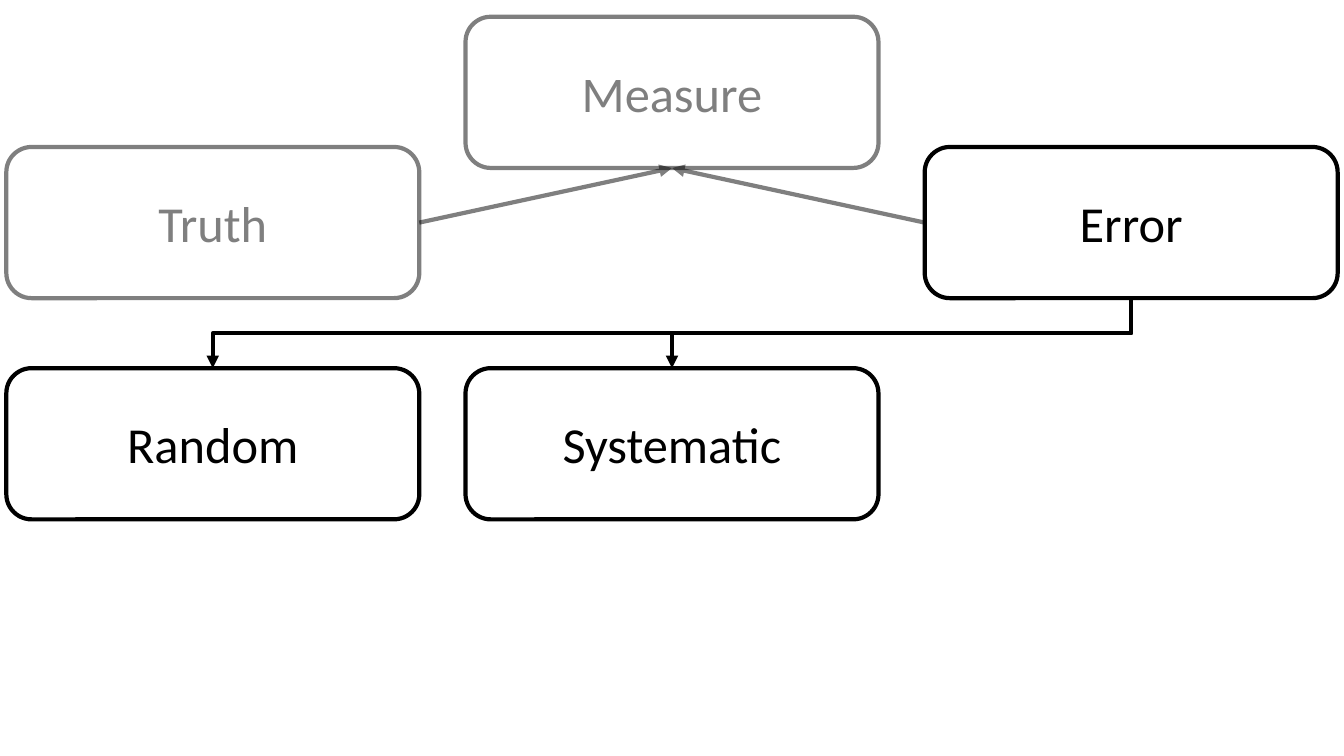
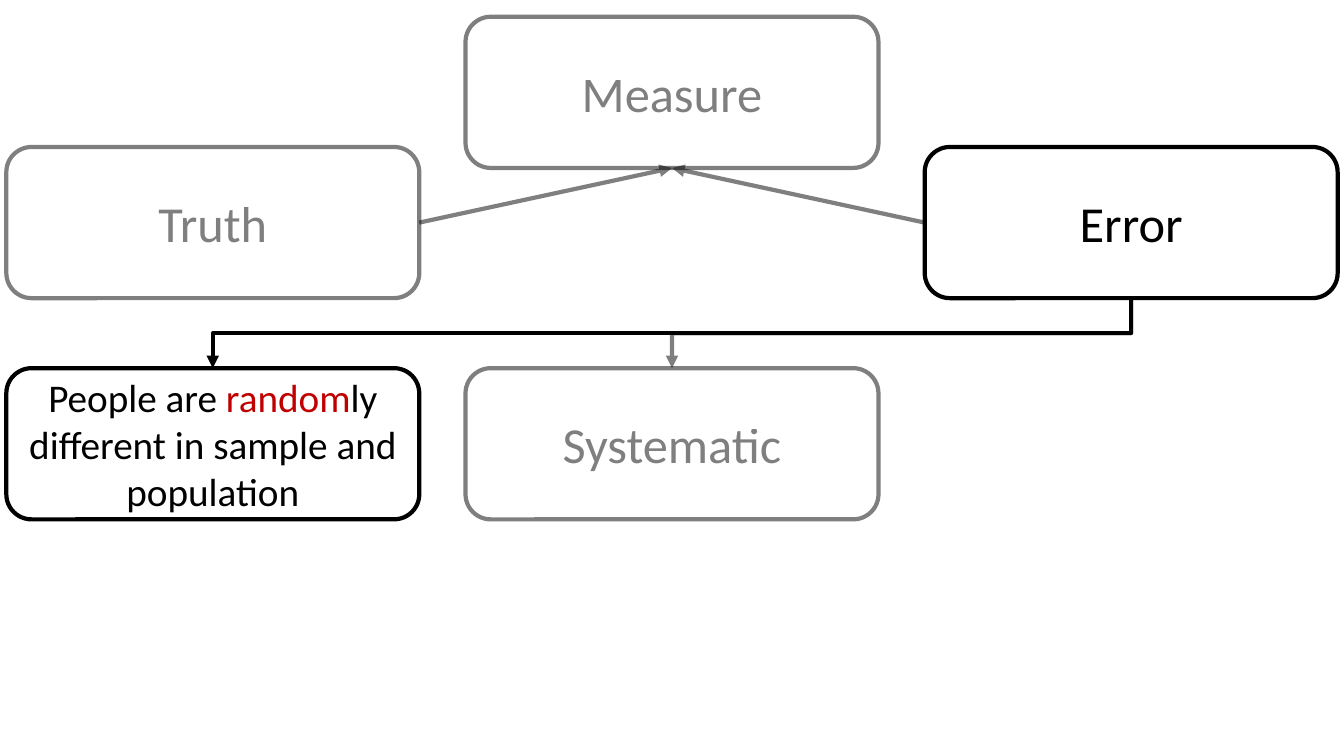
"""Build two slides of a diagram that splits a measure into truth and error."""
import dataclasses

import lxml.etree
import pptx
import pptx.dml.color
import pptx.enum.shapes
import pptx.enum.text
import pptx.oxml.ns
import pptx.util

Pt = pptx.util.Pt
qn = pptx.oxml.ns.qn
TOP, LEFT, BOTTOM, RIGHT = range(4)


@dataclasses.dataclass(frozen=True)
class Theme:
    ink: str = "000000"
    accent: str = "C00000"
    font: str = "Calibri"
    label_size: int = 36
    sentence_size: int = 28
    line_width: int = 3
    faded: int = 50
    solid: int = 100
    box_width: float = 295
    box_height: float = 108
    first_column: float = 4.5
    column_pitch: float = 328
    measure_row: float = 12
    parts_row: float = 105
    kinds_row: float = 263


THEME = Theme()


def paint(fill, colour, opacity):
    fill.solid()
    fill.fore_color.rgb = pptx.dml.color.RGBColor.from_string(colour)
    if opacity < THEME.solid:
        colour_element = fill._xPr.find(qn("a:solidFill"))[0]
        alpha = lxml.etree.SubElement(colour_element, qn("a:alpha"))
        alpha.set("val", str(opacity * 1000))


def draw_outline(line, opacity):
    line.width = Pt(THEME.line_width)
    paint(line.fill, THEME.ink, opacity)


def add_box(page, column, top, spans, size=THEME.label_size, opacity=THEME.solid):
    left = THEME.first_column + column * THEME.column_pitch
    box = page.shapes.add_shape(
        pptx.enum.shapes.MSO_SHAPE.ROUNDED_RECTANGLE,
        Pt(left), Pt(top), Pt(THEME.box_width), Pt(THEME.box_height))
    box.shadow.inherit = False
    box.fill.background()
    draw_outline(box.line, opacity)
    frame = box.text_frame
    frame.word_wrap = True
    frame.vertical_anchor = pptx.enum.text.MSO_ANCHOR.MIDDLE
    para = frame.paragraphs[0]
    para.alignment = pptx.enum.text.PP_ALIGN.CENTER
    for text, colour in spans:
        span = para.add_run()
        span.text = text
        span.font.name = THEME.font
        span.font.size = Pt(size)
        paint(span.font.fill, colour, opacity)
    return box


def add_arrow(page, kind, source, source_side, target, target_side, opacity):
    arrow = page.shapes.add_connector(kind, 0, 0, 0, 0)
    arrow.begin_connect(source, source_side)
    arrow.end_connect(target, target_side)
    draw_outline(arrow.line, opacity)
    properties = arrow._element.spPr
    head = lxml.etree.SubElement(properties.find(qn("a:ln")), qn("a:tailEnd"))
    head.set("type", "triangle")
    lxml.etree.SubElement(properties, qn("a:effectLst"))
    return arrow


def add_straight_arrow(page, source, side, target, opacity):
    add_arrow(page, pptx.enum.shapes.MSO_CONNECTOR.STRAIGHT,
              source, side, target, BOTTOM, opacity)


def add_branch(page, source, target, opacity):
    arrow = add_arrow(page, pptx.enum.shapes.MSO_CONNECTOR.ELBOW,
                      source, BOTTOM, target, TOP, opacity)
    span_x, drop = arrow.width, arrow.height
    shift = (span_x - drop) // 2
    arrow.left, arrow.top = arrow.left + shift, arrow.top - shift
    arrow.width, arrow.height = drop, span_x
    transform = arrow._element.spPr.find(qn("a:xfrm"))
    transform.attrib.pop("flipH", None)
    transform.set("rot", str(90 * 60000))


def add_error_page(deck, random_spans, random_size, systematic_opacity):
    page = deck.slides.add_slide(deck.slide_layouts[6])
    measure = add_box(page, 1, THEME.measure_row, [("Measure", THEME.ink)],
                      opacity=THEME.faded)
    truth = add_box(page, 0, THEME.parts_row, [("Truth", THEME.ink)],
                    opacity=THEME.faded)
    error = add_box(page, 2, THEME.parts_row, [("Error", THEME.ink)])
    systematic = add_box(page, 1, THEME.kinds_row, [("Systematic", THEME.ink)],
                         opacity=systematic_opacity)
    random = add_box(page, 0, THEME.kinds_row, random_spans, random_size)
    add_straight_arrow(page, error, LEFT, measure, THEME.faded)
    add_straight_arrow(page, truth, RIGHT, measure, THEME.faded)
    add_branch(page, error, random, THEME.solid)
    add_branch(page, error, systematic, systematic_opacity)


def main():
    deck = pptx.Presentation()
    deck.slide_width, deck.slide_height = Pt(960), Pt(540)
    add_error_page(deck, [("Random", THEME.ink)], THEME.label_size, THEME.solid)
    explanation = [("People are ", THEME.ink), ("random", THEME.accent),
                   ("ly different in sample and population", THEME.ink)]
    add_error_page(deck, explanation, THEME.sentence_size, THEME.faded)
    deck.save("out.pptx")


main()
